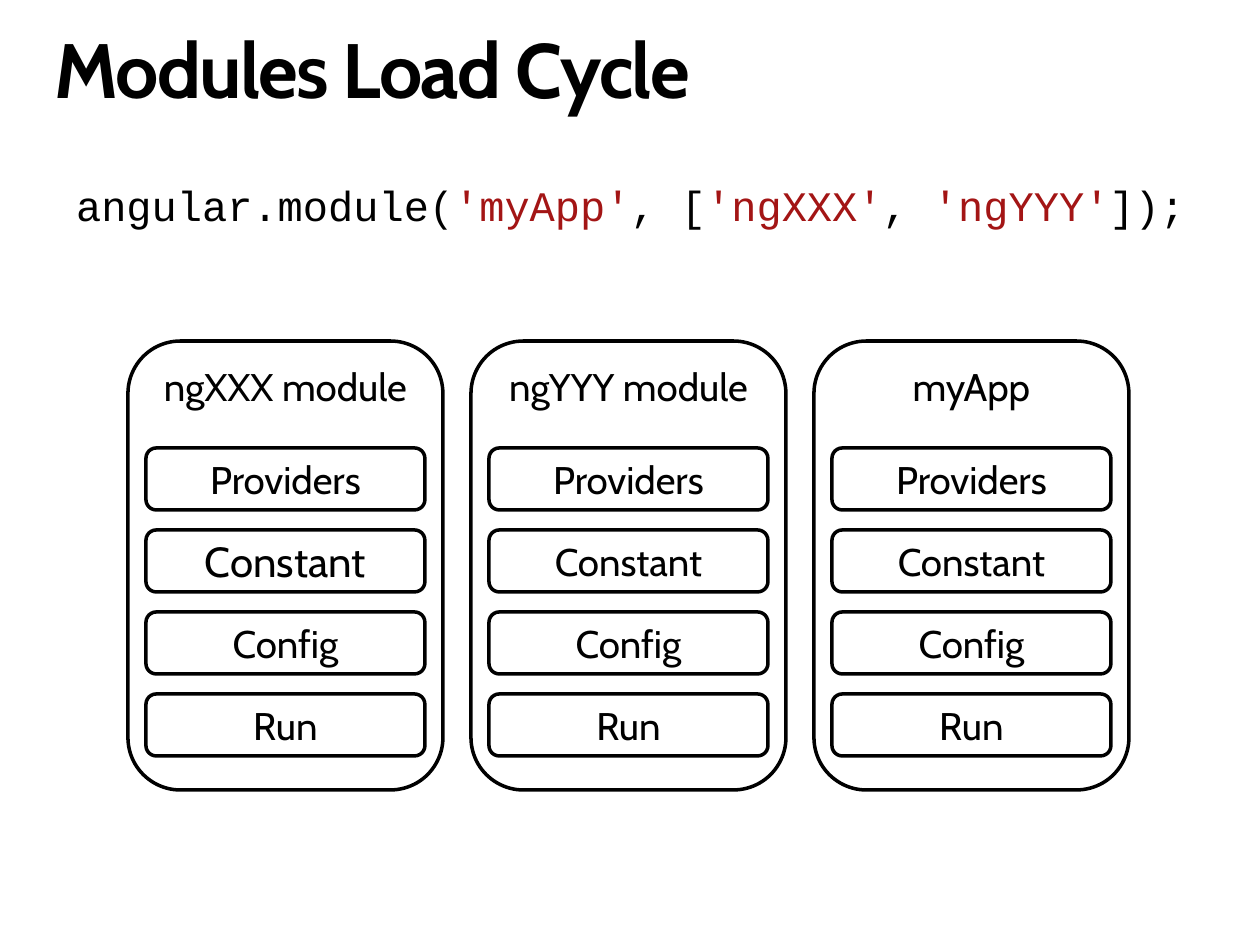
from dataclasses import dataclass

from pptx import Presentation
from pptx.dml.color import RGBColor
from pptx.enum.shapes import MSO_SHAPE
from pptx.enum.text import MSO_ANCHOR, MSO_AUTO_SIZE, PP_ALIGN
from pptx.util import Emu, Pt

ROUNDED = MSO_SHAPE.ROUNDED_RECTANGLE
TOP, MIDDLE = MSO_ANCHOR.TOP, MSO_ANCHOR.MIDDLE
LEFT, CENTER = PP_ALIGN.LEFT, PP_ALIGN.CENTER
GROW = MSO_AUTO_SIZE.SHAPE_TO_FIT_TEXT
PX_PER_INCH = 126
TITLE_ONLY = 5


@dataclass(frozen=True)
class Theme:
    ink: str = "000000"
    paper: str = "FFFFFF"
    string: str = "A31515"
    sans: str = "Cabin"
    mono: str = "Courier New"
    title_size: int = 44
    code_size: int = 24
    label_size: int = 22
    large_label_size: int = 24
    outline: int = 2


THEME = Theme()
CODE = (
    ("angular.module(", THEME.ink),
    ("'myApp'", THEME.string),
    (", [", THEME.ink),
    ("'ngXXX'", THEME.string),
    (", ", THEME.ink),
    ("'ngYYY'", THEME.string),
    ("]);", THEME.ink),
)
MODULES = ("ngXXX module", "ngYYY module", "myApp")
PHASES = ("Providers", "Constant", "Config", "Run")
LARGE_LABELS = {("ngXXX module", "Constant")}


def px(length):
    return Emu(round(length * 914400 / PX_PER_INCH))


def place(box):
    return [px(length) for length in box]


def write(frame, pieces, *, size, font=THEME.sans, bold=False, align=CENTER,
          anchor=TOP, line_spacing=None, tracking=None):
    frame.word_wrap = True
    frame.vertical_anchor = anchor
    paragraph = frame.paragraphs[0]
    paragraph.alignment = align
    if line_spacing:
        paragraph.line_spacing = line_spacing
    for words, color in pieces:
        run = paragraph.add_run()
        run.text = words
        run.font.name = font
        run.font.size = Pt(size)
        run.font.bold = bold
        run.font.color.rgb = RGBColor.from_string(color)
        if tracking:
            run.font._element.set("spc", str(tracking))


def add_title(slide, box):
    title = slide.shapes.title
    title.left, title.top, title.width, title.height = place(box)
    frame = title.text_frame
    frame.margin_left = frame.margin_right = 0
    frame.margin_top = frame.margin_bottom = 0
    frame.auto_size = GROW
    write(frame, [("Modules Load Cycle", THEME.ink)], size=THEME.title_size,
          bold=True, align=LEFT, line_spacing=0.9, tracking=-100)


def add_code(slide, box):
    frame = slide.shapes.add_textbox(*place(box)).text_frame
    frame.auto_size = GROW
    write(frame, CODE, size=THEME.code_size, font=THEME.mono)


def add_panel(slide, box, label, *, size=THEME.label_size, anchor=MIDDLE):
    panel = slide.shapes.add_shape(ROUNDED, *place(box))
    panel.shadow.inherit = False
    panel.fill.solid()
    panel.fill.fore_color.rgb = RGBColor.from_string(THEME.paper)
    panel.line.color.rgb = RGBColor.from_string(THEME.ink)
    panel.line.width = Pt(THEME.outline)
    write(panel.text_frame, [(label, THEME.ink)], size=size, anchor=anchor)


def add_module(slide, box, module):
    left, top, width, _ = box
    inset, first_phase, pitch, phase_height = 18, 107, 82, 62
    add_panel(slide, box, module, anchor=TOP)
    for row, phase in enumerate(PHASES):
        large = (module, phase) in LARGE_LABELS
        phase_box = (left + inset, top + first_phase + row * pitch,
                     width - 2 * inset, phase_height)
        add_panel(slide, phase_box, phase,
                  size=THEME.large_label_size if large else THEME.label_size)


def add_modules(slide, box):
    left, top, width, height = box
    gap = 28
    module_width = (width - gap * (len(MODULES) - 1)) // len(MODULES)
    for column, module in enumerate(MODULES):
        module_left = left + column * (module_width + gap)
        add_module(slide, (module_left, top, module_width, height), module)


def main():
    deck = Presentation()
    deck.slide_width, deck.slide_height = px(1260), px(945)
    slide = deck.slides.add_slide(deck.slide_layouts[TITLE_ONLY])
    add_title(slide, (54, 32, 1153, 84))
    add_code(slide, (54, 173, 1153, 63))
    add_modules(slide, (128, 341, 1001, 449))
    deck.save("out.pptx")


if __name__ == "__main__":
    main()
